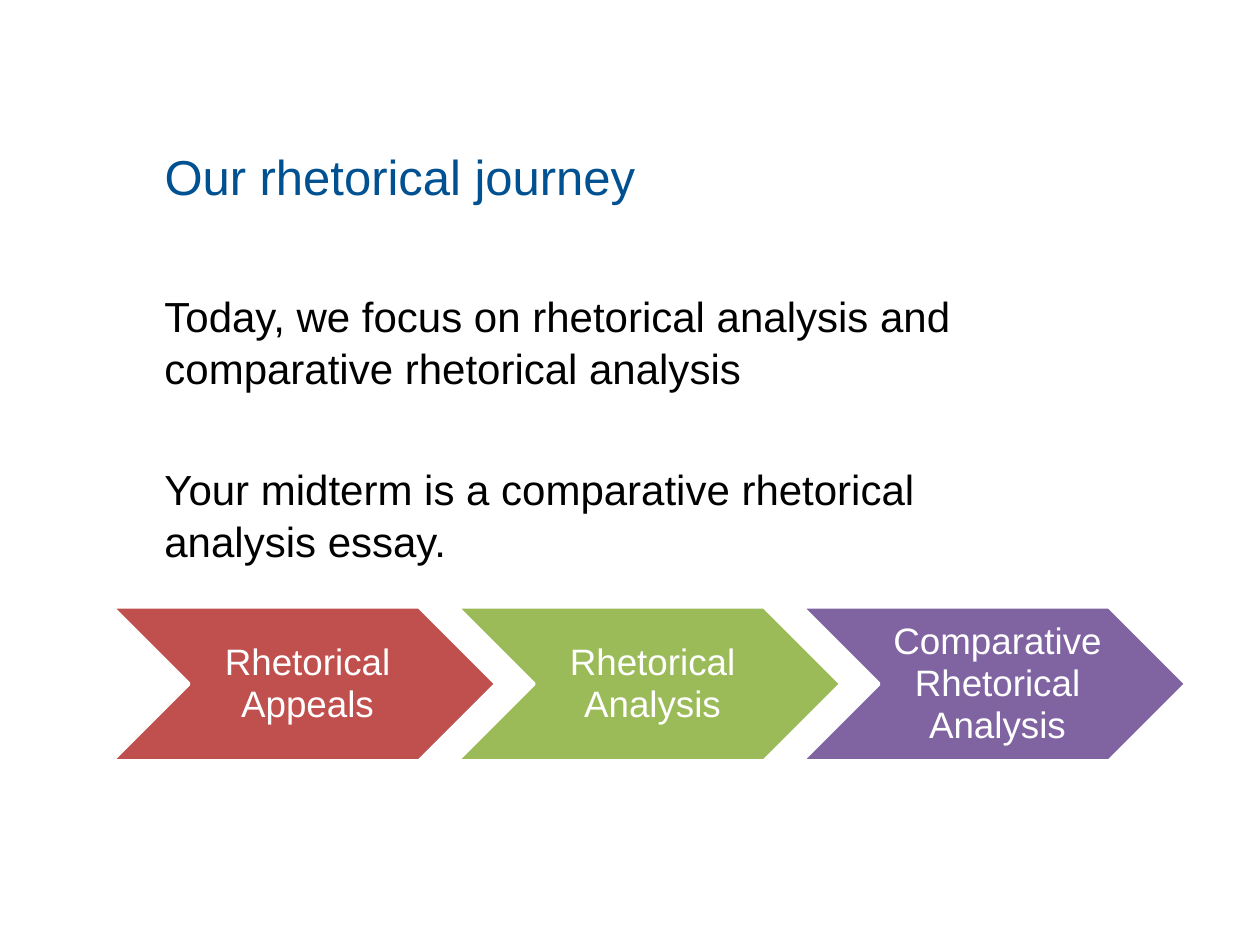
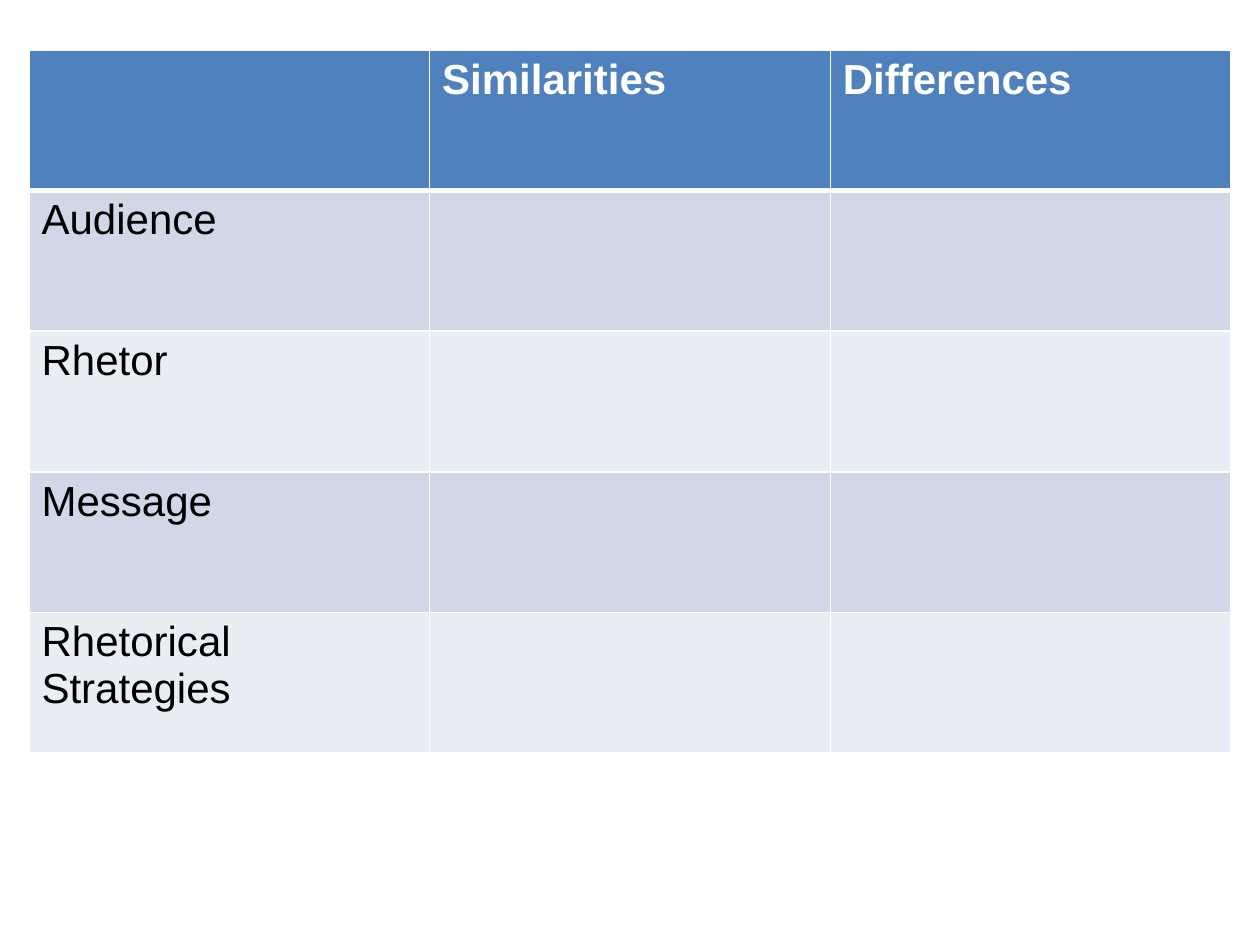
from lxml.etree import SubElement
from pptx import Presentation
from pptx.dml.color import RGBColor
from pptx.enum.shapes import MSO_SHAPE as Shape
from pptx.enum.text import MSO_ANCHOR as Anchor, MSO_AUTO_SIZE as AutoSize, PP_ALIGN as Align
from pptx.oxml.ns import qn
from pptx.util import Emu, Pt

TITLE = "Our rhetorical journey"
REMARKS = [
    "Today, we focus on rhetorical analysis and comparative rhetorical analysis",
    "Your midterm is a comparative rhetorical analysis essay.",
]
STEPS = [
    ("Rhetorical Appeals", "C0504D"),
    ("Rhetorical Analysis", "9BBB59"),
    ("Comparative Rhetorical Analysis", "8064A2"),
]
COMPARISON = [
    ["", "Similarities", "Differences"],
    ["Audience", "", ""],
    ["Rhetor", "", ""],
    ["Message", "", ""],
    ["Rhetorical Strategies", "", ""],
]

WHITE = "FFFFFF"
HEADER_FILL = "4F81BD"
BAND_FILLS = ["E9EDF4", "D0D8E8"]
TITLE_FONT = {"name": "Arial", "size": Pt(28), "color": "005191"}
BODY_FONT = {"name": "Arial", "size": Pt(24), "color": "000000"}
STEP_FONT = {"name": "Arial", "size": Pt(21), "color": WHITE}
HEADER_FONT = {**BODY_FONT, "color": WHITE, "bold": True}

TITLE_AREA = (152, 97, 863, 158)
BODY_AREA = (152, 282, 863, 527)
STEP_AREA = (112, 607, 384, 154)
STEP_PITCH = 345
TABLE_AREA = (29, 50, 1202, 703)


def px(length):
    return Emu(round(length * 914400 / 126))


def area(values):
    return [px(value) for value in values]


def color(code):
    return RGBColor.from_string(code)


def assign(target, values):
    for name, value in values.items():
        setattr(target, name, value)


def write(para, text, style):
    span = para.add_run()
    span.text = text
    for name, value in style.items():
        if name == "color":
            span.font.color.rgb = color(value)
        else:
            setattr(span.font, name, value)


def border(cell, widths):
    properties = cell._tc.get_or_add_tcPr()
    for index, (side, width) in enumerate(zip("LRTB", widths)):
        line = properties.makeelement(qn(f"a:ln{side}"), {"w": str(Pt(width))})
        fill = SubElement(line, qn("a:solidFill"))
        SubElement(fill, qn("a:srgbClr"), val=WHITE)
        properties.insert(index, line)


def add_title(page):
    title = page.shapes.title
    assign(title, dict(zip(("left", "top", "width", "height"), area(TITLE_AREA))))
    assign(title.text_frame, {"word_wrap": True, "auto_size": AutoSize.NONE,
                              "vertical_anchor": Anchor.MIDDLE})
    para = title.text_frame.paragraphs[0]
    para.alignment = Align.LEFT
    write(para, TITLE, TITLE_FONT)


def add_remarks(page):
    frame = page.shapes.add_textbox(*area(BODY_AREA)).text_frame
    frame.word_wrap = True
    for index, remark in enumerate(REMARKS):
        para = frame.add_paragraph() if index else frame.paragraphs[0]
        assign(para, {"line_spacing": 1.04, "space_before": Pt(39 if index else 0)})
        write(para, remark, BODY_FONT)


def add_steps(page):
    left, top, width, height = STEP_AREA
    for index, (label, fill) in enumerate(STEPS):
        place = area((left + index * STEP_PITCH, top, width, height))
        chevron = page.shapes.add_shape(Shape.CHEVRON, *place)
        chevron.shadow.inherit = False
        chevron.fill.solid()
        chevron.fill.fore_color.rgb = color(fill)
        chevron.line.color.rgb = color(WHITE)
        chevron.line.width = Pt(2)
        frame = chevron.text_frame
        assign(frame, {"word_wrap": True, "vertical_anchor": Anchor.MIDDLE,
                       "margin_left": px(11), "margin_right": px(4),
                       "margin_top": px(4), "margin_bottom": px(4)})
        para = frame.paragraphs[0]
        assign(para, {"alignment": Align.CENTER, "line_spacing": 0.95})
        write(para, label, STEP_FONT)


def add_comparison(page):
    rows, columns = len(COMPARISON), len(COMPARISON[0])
    table = page.shapes.add_table(rows, columns, *area(TABLE_AREA)).table
    for row, texts in enumerate(COMPARISON):
        for column, text in enumerate(texts):
            cell = table.cell(row, column)
            cell.fill.solid()
            cell.fill.fore_color.rgb = color(BAND_FILLS[row % 2] if row else HEADER_FILL)
            border(cell, (1, 1, 3 if row == 1 else 1, 1 if row else 3))
            if text:
                write(cell.text_frame.paragraphs[0], text, BODY_FONT if row else HEADER_FONT)


def main():
    deck = Presentation()
    assign(deck, {"slide_width": px(1260), "slide_height": px(945)})
    journey = deck.slides.add_slide(deck.slide_layouts[5])
    add_title(journey)
    add_remarks(journey)
    add_steps(journey)
    add_comparison(deck.slides.add_slide(deck.slide_layouts[6]))
    deck.save("out.pptx")


if __name__ == "__main__":
    main()
